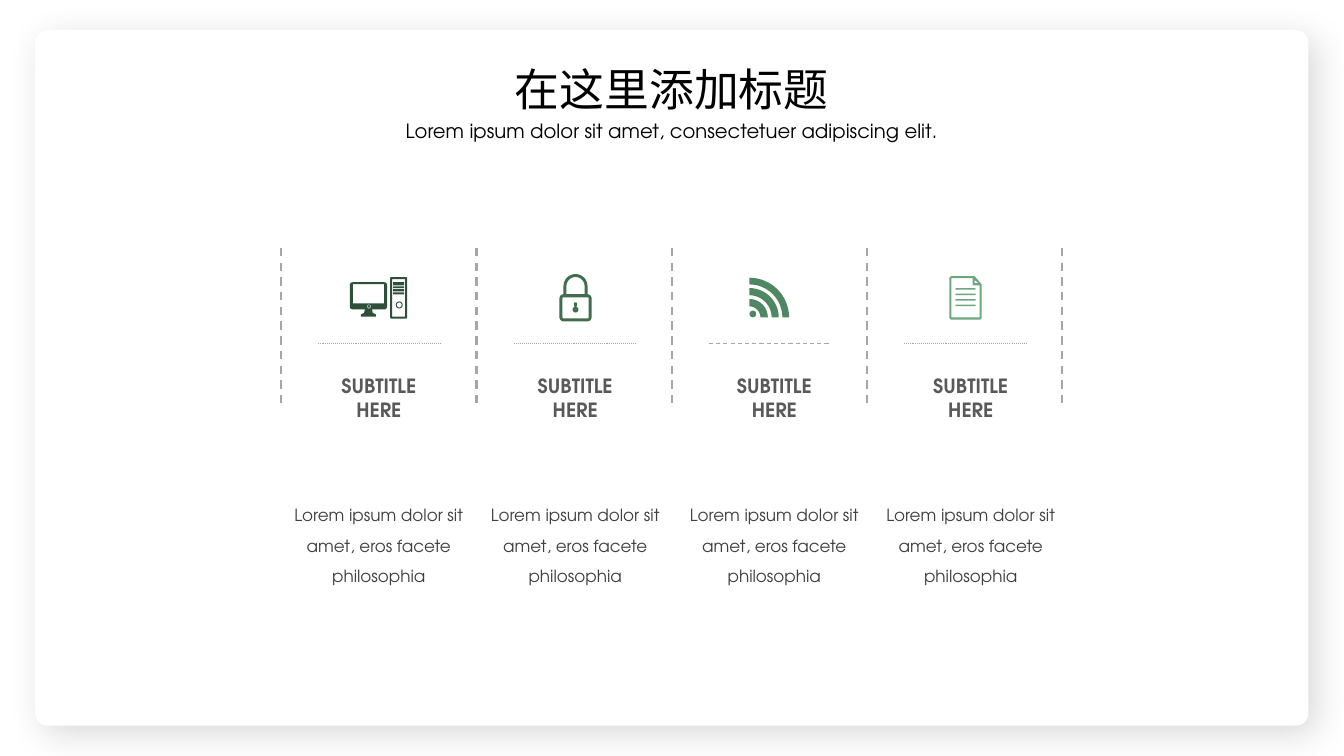
from dataclasses import dataclass
from math import cos, radians, sin

from lxml.etree import SubElement
from pptx import Presentation
from pptx.dml.color import RGBColor
from pptx.enum.dml import MSO_LINE
from pptx.enum.shapes import MSO_CONNECTOR, MSO_SHAPE
from pptx.enum.text import MSO_ANCHOR, PP_ALIGN
from pptx.oxml.ns import qn
from pptx.util import Pt

BLACK = RGBColor(0x00, 0x00, 0x00)
WHITE = RGBColor(0xFF, 0xFF, 0xFF)
RULE_GRAY = RGBColor(0xA6, 0xA6, 0xA6)
SUBTITLE_GRAY = RGBColor(0x59, 0x59, 0x59)
BODY_GRAY = RGBColor(0x40, 0x40, 0x40)
FOREST = RGBColor(0x2E, 0x4F, 0x38)
MOSS = RGBColor(0x41, 0x6C, 0x4E)
FERN = RGBColor(0x4F, 0x87, 0x62)
SAGE = RGBColor(0x6C, 0xA7, 0x80)
LATIN_FONT = "TeX Gyre Adventor"
CHINESE_FONT = "Noto Sans CJK SC"


@dataclass
class Column:
    icon: list
    color: RGBColor
    icon_left: float
    icon_top: float
    text_shift: float
    dash: MSO_LINE = MSO_LINE.ROUND_DOT


def arc(x, y, radius, start, end, steps=16):
    angles = [radians(start + (end - start) * i / steps) for i in range(steps + 1)]
    return [(x + radius * cos(a), y + radius * sin(a)) for a in angles]


def disc(x, y, radius):
    return arc(x, y, radius, 0, 360)


def box(left, top, right, bottom, radius=0.0):
    if not radius:
        return [(left, top), (right, top), (right, bottom), (left, bottom)]
    return (arc(left + radius, top + radius, radius, 180, 270, 6)
            + arc(right - radius, top + radius, radius, 270, 360, 6)
            + arc(right - radius, bottom - radius, radius, 0, 90, 6)
            + arc(left + radius, bottom - radius, radius, 90, 180, 6))


def computer_outlines():
    stand = [(10.8, 23), (15.8, 23), (16.4, 25.5), (18.7, 26.6),
             (18.7, 28.1), (7.9, 28.1), (7.9, 26.6), (10.2, 25.5)]
    slots = [(3.6, 5.8), (6.5, 7.9), (8.6, 10.1), (10.8, 12.2)]
    return [box(0, 3.6, 26.6, 23, 2), box(2.2, 5, 24.5, 18.7),
            disc(13.7, 20.9, 1.4), disc(13.7, 20.9, 0.9), stand,
            box(28.8, 0, 41, 29.5, 0.7), box(30.2, 1.4, 39.6, 28.1),
            disc(35.3, 19.8, 2.5), disc(35.3, 19.8, 1.8),
            *[box(31, top, 38.9, bottom) for top, bottom in slots]]


def lock_outlines():
    shackle = ([(2.9, 14.4)] + arc(11.5, 8.6, 8.6, 180, 360) + [(20.1, 14.4), (18, 14.4)]
               + arc(11.5, 8.6, 6.5, 360, 180) + [(5, 14.4)])
    return [box(0, 14.4, 23, 33.8, 3), box(2.2, 16.6, 20.9, 31.7, 0.7),
            shackle, disc(11.5, 25.4, 2.1), box(10.4, 20.2, 12.6, 23.3, 1)]


def signal_outlines():
    bands = [(28.4, 23.6), (21, 15.9), (13.2, 7.9)]
    return [disc(2.9, 26.3, 2.4),
            *[arc(0.4, 28.8, outer, -90, 0) + arc(0.4, 28.8, inner, 0, -90)
              for outer, inner in bands]]


def document_outlines():
    sheet = [(1, 0), (18, 0), (23, 5.8), (23, 30), (22, 31), (1, 31), (0, 30), (0, 1)]
    page = [(1.4, 1.4), (16.6, 1.4), (16.6, 6.5), (21.6, 6.5), (21.6, 29.5), (1.4, 29.5)]
    fold = [(18, 2.9), (20.9, 5), (18, 5)]
    return [sheet, page, fold,
            *[box(4.3, 8.6 + 3.9 * i, 18.7, 9.7 + 3.9 * i, 0.5) for i in range(4)]]


def draw_icon(slide, outlines, color, left, top):
    placed = [[(Pt(left + x), Pt(top + y)) for x, y in outline] for outline in outlines]
    builder = slide.shapes.build_freeform(*placed[0][0])
    for index, outline in enumerate(placed):
        if index:
            builder.move_to(*outline[0])
        builder.add_line_segments(outline[1:])
    icon = builder.convert_to_shape()
    icon.fill.solid()
    icon.fill.fore_color.rgb = color
    icon.line.fill.background()
    icon.shadow.inherit = False


def draw_line(slide, left, top, right, bottom, width, dash):
    line = slide.shapes.add_connector(
        MSO_CONNECTOR.STRAIGHT, Pt(left), Pt(top), Pt(right), Pt(bottom))
    line.line.color.rgb = RULE_GRAY
    line.line.width = Pt(width)
    line.line.dash_style = dash
    SubElement(line.element.spPr, qn("a:effectLst"))


def write_text(shape, text, size, font, color, bold=False, spacing=1.0, wrap=True):
    frame = shape.text_frame
    frame.word_wrap = wrap
    frame.vertical_anchor = MSO_ANCHOR.TOP
    paragraph = frame.paragraphs[0]
    paragraph.alignment = PP_ALIGN.CENTER
    paragraph.line_spacing = spacing
    paragraph.space_before = Pt(0)
    run = paragraph.add_run()
    run.text = text
    run.font.size = Pt(size)
    run.font.name = font
    run.font.bold = bold
    run.font.color.rgb = color
    SubElement(run.font._element, qn("a:ea"), typeface=font)


def place(shape, left, top, width, height):
    shape.left, shape.top = Pt(left), Pt(top)
    shape.width, shape.height = Pt(width), Pt(height)


def draw_card(slide, left, top, width, height):
    card = slide.shapes.add_shape(
        MSO_SHAPE.ROUNDED_RECTANGLE, Pt(left), Pt(top), Pt(width), Pt(height))
    card.adjustments[0] = 0.018
    card.fill.solid()
    card.fill.fore_color.rgb = WHITE
    card.line.fill.background()
    card.shadow.inherit = False
    effects = card.element.spPr.find(qn("a:effectLst"))
    shadow = SubElement(effects, qn("a:outerShdw"), blurRad=str(Pt(25)), dist=str(Pt(8)),
                        dir="2700000", algn="tl", rotWithShape="0")
    shade = SubElement(shadow, qn("a:srgbClr"), val=str(BLACK))
    SubElement(shade, qn("a:alpha"), val="15000")
    slide.shapes.title.element.addprevious(card.element)


def draw_heading(slide, left, top, width):
    title, subtitle = slide.shapes.title, slide.placeholders[1]
    place(title, left, top, width, 46)
    write_text(title, "在这里添加标题", 32, CHINESE_FONT, BLACK, wrap=False)
    place(subtitle, left, top + 41, width, 24.5)
    write_text(subtitle, "Lorem ipsum dolor sit amet, consectetuer adipiscing elit.",
               14, LATIN_FONT, BLACK, wrap=False)


def draw_column(slide, column, left, top, width):
    draw_icon(slide, column.icon, column.color, left + column.icon_left, top + column.icon_top)
    draw_line(slide, left + 26.5, top + 68.5, left + 114, top + 68.5, 0.75, column.dash)
    center = left + width / 2 + column.text_shift
    subtitle = slide.shapes.add_textbox(Pt(center - 51), Pt(top + 86.5), Pt(102), Pt(46))
    write_text(subtitle, "SUBTITLE HERE", 14, LATIN_FONT, SUBTITLE_GRAY, bold=True)
    body = slide.shapes.add_textbox(Pt(center - 69.5), Pt(top + 173), Pt(139), Pt(73))
    write_text(body, "Lorem ipsum dolor sit amet, eros facete philosophia",
               12, LATIN_FONT, BODY_GRAY, spacing=1.5)


def draw_columns(slide, left, top, pitch):
    columns = [
        Column(computer_outlines(), FOREST, 49, 21, 0),
        Column(lock_outlines(), MOSS, 59.2, 18.8, 0.8),
        Column(signal_outlines(), FERN, 55, 21, 3.5, MSO_LINE.DASH),
        Column(document_outlines(), SAGE, 58.8, 20.3, 4.3),
    ]
    for index in range(len(columns) + 1):
        x = left + index * pitch
        draw_line(slide, x, top, x, top + 113, 1.5, MSO_LINE.DASH)
    for index, column in enumerate(columns):
        draw_column(slide, column, left + index * pitch, top, pitch)


def main():
    presentation = Presentation()
    presentation.slide_width, presentation.slide_height = Pt(960), Pt(540)
    slide = presentation.slides.add_slide(presentation.slide_layouts[0])
    draw_card(slide, 25.2, 21.6, 909.4, 496.8)
    draw_heading(slide, 280.8, 40.4, 398.2)
    draw_columns(slide, 200.9, 177, 139.5)
    presentation.save("out.pptx")


if __name__ == "__main__":
    main()
